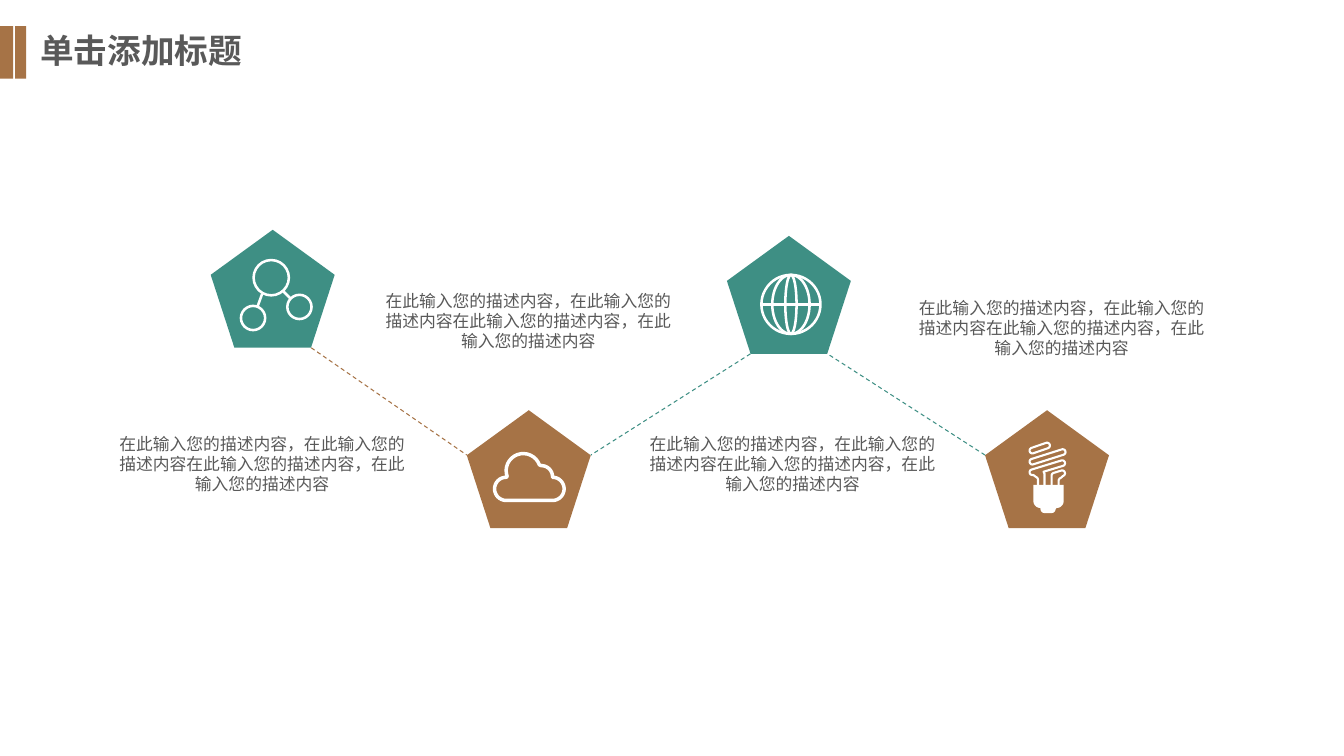
from math import cos, radians, sin

from lxml.etree import SubElement
from pptx import Presentation
from pptx.dml.color import RGBColor
from pptx.enum.dml import MSO_LINE
from pptx.enum.shapes import MSO_CONNECTOR, MSO_SHAPE
from pptx.enum.text import MSO_ANCHOR, MSO_AUTO_SIZE, PP_ALIGN
from pptx.oxml.ns import qn
from pptx.util import Inches, Pt

TEAL = RGBColor(0x3E, 0x8F, 0x84)
BROWN = RGBColor(0xA6, 0x73, 0x46)
GRAY = RGBColor(0x59, 0x59, 0x59)
WHITE = RGBColor(0xFF, 0xFF, 0xFF)
RECT, OVAL, PENTA = MSO_SHAPE.RECTANGLE, MSO_SHAPE.OVAL, MSO_SHAPE.REGULAR_PENTAGON
STRAIGHT, DASH = MSO_CONNECTOR.STRAIGHT, MSO_LINE.DASH
LEFT, CENTER, TOP = PP_ALIGN.LEFT, PP_ALIGN.CENTER, MSO_ANCHOR.TOP
GROW = MSO_AUTO_SIZE.SHAPE_TO_FIT_TEXT

CELL = Inches(0.1)
FONT = "Noto Sans CJK SC"
WIDE, HIGH = 12.3, 11.7
BODY = "在此输入您的描述内容，在此输入您的描述内容在此输入您的描述内容，在此输入您的描述内容"
TILT = 73


def grid(*cells):
    return [round(cell * CELL) for cell in cells]


def arc(x, y, r, start, end):
    turns = [radians(start + (end - start) * step / 16) for step in range(17)]
    return [(x + r * cos(turn), y + r * sin(turn)) for turn in turns]


def bend(x, y):
    return arc(x, y, 0.28, TILT, TILT + 180)


def cap(x, y):
    return arc(x, y, 0.28, TILT + 180, TILT + 360)


class Canvas:
    def __init__(self, slide):
        self.slide = slide
        self.shapes = slide.shapes

    def group(self):
        self.shapes = self.slide.shapes.add_group_shape().shapes

    def ungroup(self):
        self.shapes = self.slide.shapes

    def paint(self, shape, fill, line, width):
        shape.shadow.inherit = False
        if fill is None:
            shape.fill.background()
        else:
            shape.fill.solid()
            shape.fill.fore_color.rgb = fill
        if line is None:
            shape.line.fill.background()
        else:
            shape.line.color.rgb = line
            shape.line.width = Pt(width)

    def shape(self, kind, x, y, w, h, fill=None, line=None, width=1.8):
        item = self.shapes.add_shape(kind, *grid(x, y, w, h))
        self.paint(item, fill, line, width)

    def ring(self, x, y, across, down):
        self.shape(OVAL, x - across, y - down, 2 * across, 2 * down, line=WHITE)

    def trace(self, points, fill=None, line=WHITE, width=1.5, close=True):
        spots = [grid(*point) for point in points]
        pen = self.shapes.build_freeform(*spots[0])
        pen.add_line_segments(spots[1:], close=close)
        self.paint(pen.convert_to_shape(), fill, line, width)

    def line(self, start, end, color=WHITE, width=1.8, dash=None):
        item = self.shapes.add_connector(STRAIGHT, *grid(*start, *end))
        item.line.color.rgb = color
        item.line.width = Pt(width)
        if dash:
            item.line.dash_style = dash
        SubElement(item._element.spPr, qn("a:effectLst"))

    def label(self, box, text, size, align, bold=False):
        frame = box.text_frame
        frame.text = text
        frame.word_wrap = True
        frame.auto_size = GROW
        frame.vertical_anchor = TOP
        para = frame.paragraphs[0]
        para.alignment = align
        font = para.font
        font.name, font.size, font.bold = FONT, Pt(size), bold
        font.color.rgb = GRAY
        SubElement(font._element, qn("a:ea"), typeface=FONT)

    def title(self, text, x, y, w, h):
        box = self.shapes.title
        box.left, box.top, box.width, box.height = grid(x, y, w, h)
        self.label(box, text, 24, LEFT, True)

    def text(self, text, x, y, w, h):
        self.label(self.shapes.add_textbox(*grid(x, y, w, h)), text, 12, CENTER)


def share(art):
    hub, left, right = (26.9, 27.55, 1.75), (25.1, 31.55, 1.2), (29.7, 30.45, 1.2)
    for x, y, r in (hub, left, right):
        art.ring(x, y, r, r)
    art.line((26, 29.15), (25.55, 30.4))
    art.line((28.1, 28.9), (28.8, 29.6))


def globe(art):
    x, y, r = 78.45, 30.2, 2.93
    for across in (r, 1.85, 0.56):
        art.ring(x, y, across, r)
    art.line((x - r, y), (x + r, y))


def cloud(art):
    art.trace(
        arc(50.2, 48.5, 1.15, 90, 270)
        + arc(51.9, 46.7, 1.7, 160, 340)
        + arc(53.7, 47.3, 1.1, 270, 360)
        + arc(54.8, 48.5, 1.15, 270, 450),
        width=2.5,
    )


def bulb(art):
    art.trace(bend(102.4, 44.7) + cap(103.85, 44.2))
    art.trace(bend(102.4, 45.8) + cap(105.4, 44.85))
    art.trace(
        [(102.95, 48.1)]
        + arc(102.65, 47.6, 0.3, 0, -70)
        + bend(102.4, 46.85)
        + cap(105.35, 45.95)
        + [(103.5, 46.8), (103.6, 47), (103.6, 48.1)],
        close=False,
    )
    art.trace(
        [(104.3, 48.1)]
        + arc(104.6, 47.2, 0.3, 180, 253)
        + cap(105.35, 46.95)
        + arc(105.3, 47.7, 0.3, 253, 180)
        + [(105, 48.1)],
        close=False,
    )
    art.trace(
        [(102.5, 48.1), (105.5, 48.1)]
        + arc(104.8, 49.7, 0.7, 0, 90)
        + arc(104.3, 50.5, 0.4, 0, 90)
        + arc(103.6, 50.5, 0.4, 90, 180)
        + arc(103.2, 49.7, 0.7, 90, 180),
        fill=WHITE,
        line=None,
    )


def spot(node, across, down):
    return node[0] + across * WIDE, node[1] + down * HIGH


def main():
    deck = Presentation()
    deck.slide_width, deck.slide_height = Inches(13.33), Inches(7.5)
    art = Canvas(deck.slides.add_slide(deck.slide_layouts[5]))

    art.title("单击添加标题", 3, 2.5, 33, 5.3)
    for x, w in ((0, 1.3), (1.5, 1.1)):
        art.shape(RECT, x, 2.6, w, 5.2, BROWN)

    nodes = [
        (20.9, 22.8, TEAL, share),
        (46.3, 40.7, BROWN, cloud),
        (72.1, 23.4, TEAL, globe),
        (97.7, 40.7, BROWN, bulb),
    ]
    for x, y, color, icon in nodes:
        art.group()
        art.shape(PENTA, x, y, WIDE, HIGH, color)
        icon(art)
    art.ungroup()

    first, second, third, fourth = nodes
    for start, end, color in (
        (spot(first, 0.81, 1), spot(second, 0, 0.38), BROWN),
        (spot(third, 0.19, 1), spot(second, 1, 0.38), TEAL),
        (spot(fourth, 0, 0.38), spot(third, 0.81, 1), TEAL),
    ):
        art.line(start, end, color, 0.75, DASH)

    for x, y in ((10.1, 42.5), (62.7, 42.5), (89.4, 29), (36.5, 28.3)):
        art.text(BODY, x, y, 31.8, 7.1)

    deck.save("out.pptx")


if __name__ == "__main__":
    main()
